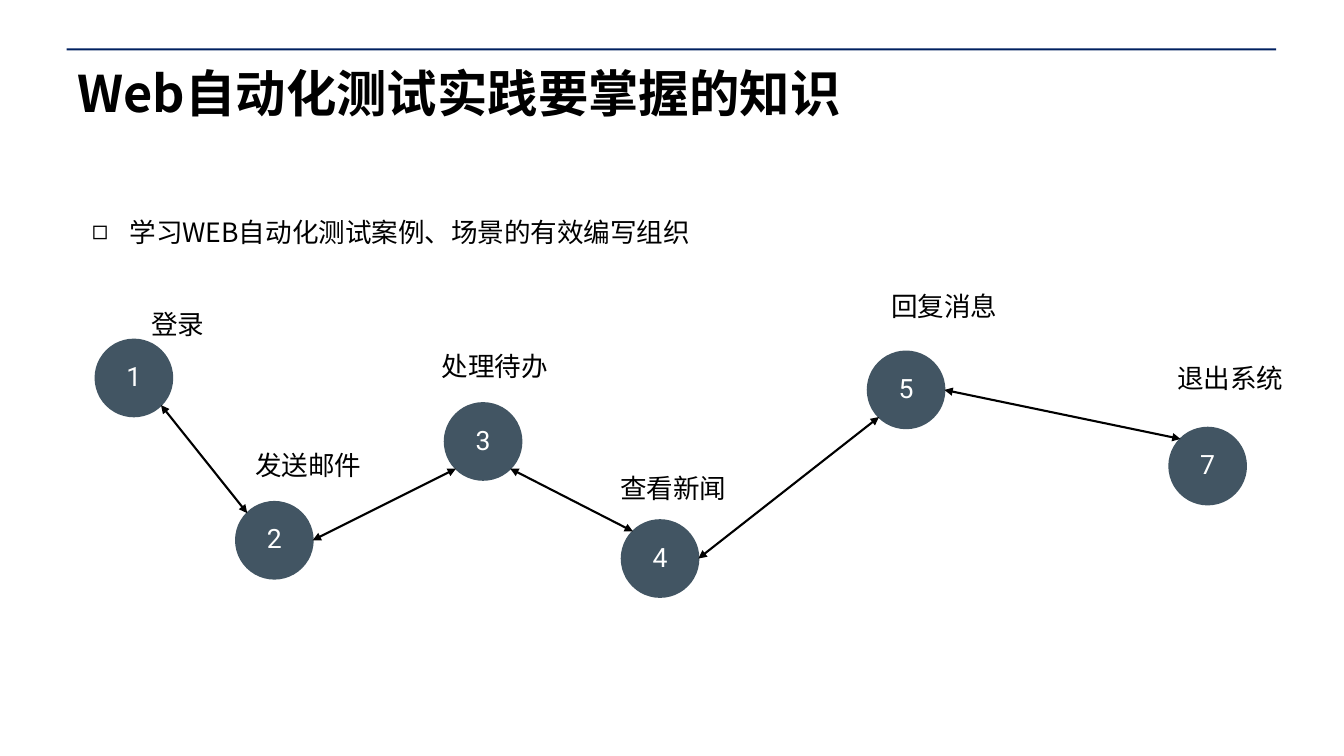
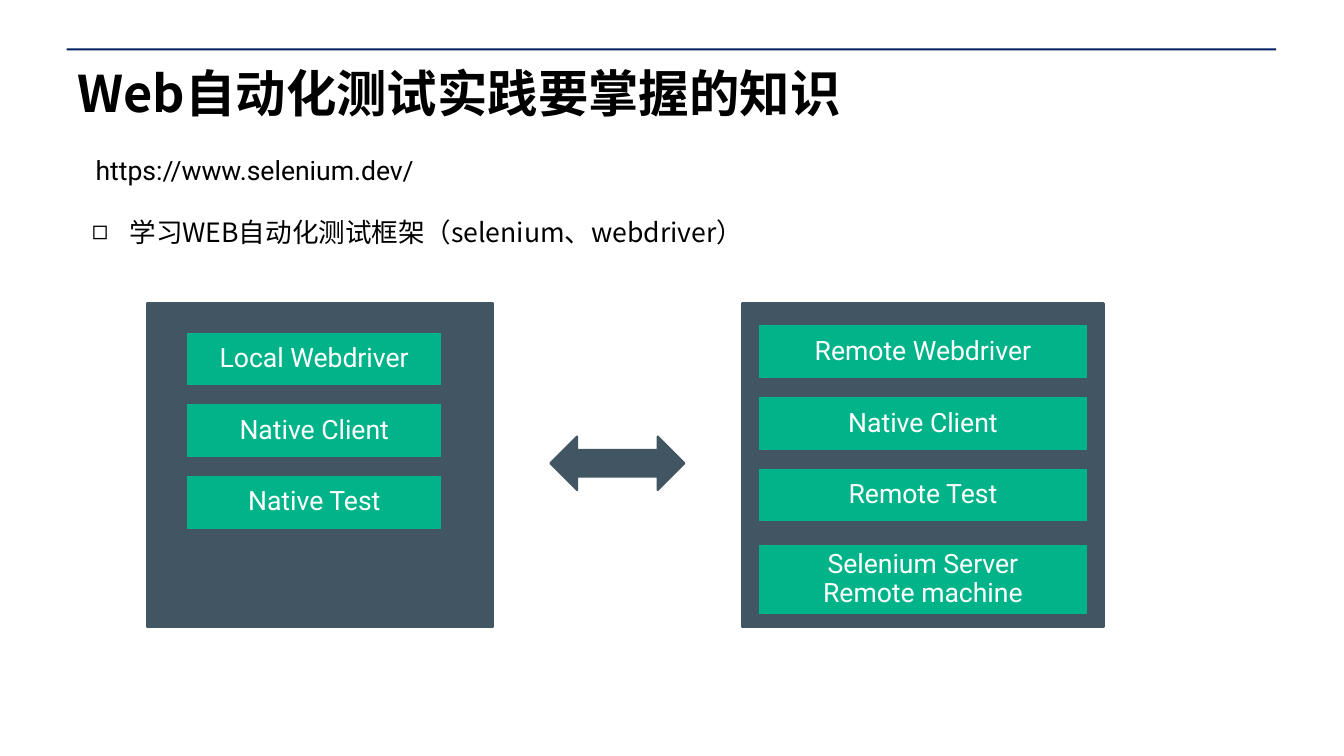
from dataclasses import dataclass
from enum import Enum
from typing import Any

from lxml.etree import SubElement
from pptx import Presentation
from pptx.dml.color import RGBColor
from pptx.enum.shapes import MSO_CONNECTOR, MSO_SHAPE
from pptx.enum.text import MSO_ANCHOR, MSO_AUTO_SIZE, PP_ALIGN
from pptx.oxml.ns import qn
from pptx.util import Cm, Pt


@dataclass(frozen=True)
class Theme:
    navy: str = "002060"
    slate: str = "425563"
    green: str = "00B388"
    black: str = "000000"
    white: str = "FFFFFF"
    han: str = "Noto Sans CJK SC"
    latin: str = "Roboto"
    head: int = 36
    text: int = 19
    line: float = 1.5


THEME = Theme()


@dataclass(frozen=True)
class Box:
    left: float
    top: float
    width: float
    height: float

    def place(self) -> dict[str, Any]:
        return {
            "left": Cm(self.left),
            "top": Cm(self.top),
            "width": Cm(self.width),
            "height": Cm(self.height),
        }


@dataclass(frozen=True)
class Step:
    mark: str
    left: float
    top: float
    label: str
    tag: Box


@dataclass(frozen=True)
class Panel:
    frame: Box
    first: Box
    rows: tuple[str, ...]


class Site(Enum):
    TOP_LEFT = (1, 0.146, 0.146)
    LOW_LEFT = (3, 0.146, 0.854)
    LOW_RIGHT = (5, 0.854, 0.854)
    RIGHT = (6, 1.0, 0.5)


WIDTH, HEIGHT = 33.87, 19.05
RULE = Box(1.68, 1.22, 30.48, 0.05)
TITLE = Box(1.7, 1.45, 30.45, 2.36)
BODY = Box(2.06, 4.9, 29.36, 1.47)
LINK = Box(2.16, 3.76, 9, 1.07)
ARROW = Box(13.87, 11, 3.38, 1.35)
SERVER = Box(19.13, 13.74, 8.26, 1.73)
DISC = 1.93
PITCH = 1.81
HEADING = "Web自动化测试实践要掌握的知识"
CENTER = {"alignment": PP_ALIGN.CENTER, "line_spacing": 0.9}
PLAIN = {"alignment": PP_ALIGN.LEFT, "space_before": Pt(0)}
LIST = PLAIN | {"line_spacing": 1.5}
TOP = {
    "word_wrap": True,
    "auto_size": MSO_AUTO_SIZE.NONE,
    "vertical_anchor": MSO_ANCHOR.TOP,
}
MIDDLE = TOP | {"vertical_anchor": MSO_ANCHOR.MIDDLE}
FLUSH = TOP | {f"margin_{side}": 0 for side in ("left", "top", "right", "bottom")}

STEPS = (
    Step("1", 2.41, 8.56, "登录", Box(3.4, 7.85, 2.16, 0.64)),
    Step("2", 5.95, 12.65, "发送邮件", Box(6.22, 11.4, 3.1, 0.64)),
    Step("3", 11.21, 10.16, "处理待办", Box(10.92, 8.92, 3.1, 0.64)),
    Step("4", 15.67, 13.11, "查看新闻", Box(15.42, 11.99, 3.1, 0.64)),
    Step("5", 21.87, 8.86, "回复消息", Box(22.25, 7.39, 3.1, 0.64)),
    Step("7", 29.47, 10.78, "退出系统", Box(29.46, 9.22, 3.1, 0.64)),
)
LINKS = (
    (Site.LOW_RIGHT, Site.TOP_LEFT),
    (Site.RIGHT, Site.LOW_LEFT),
    (Site.LOW_RIGHT, Site.TOP_LEFT),
    (Site.RIGHT, Site.LOW_LEFT),
    (Site.RIGHT, Site.TOP_LEFT),
)
PANELS = (
    Panel(
        Box(3.71, 7.65, 8.71, 8.15),
        Box(4.72, 8.38, 6.4, 1.32),
        ("Local Webdriver", "Native Client", "Native Test"),
    ),
    Panel(
        Box(18.69, 7.65, 9.12, 8.15),
        Box(19.13, 8.2, 8.26, 1.32),
        ("Remote Webdriver", "Native Client", "Remote Test"),
    ),
)


def style(item: Any, look: dict[str, Any]) -> None:
    for name, value in look.items():
        setattr(item, name, value)


def write(shape: Any, text: str, frame: dict[str, Any], para: dict[str, Any],
          face: str = THEME.latin, tint: str = THEME.black,
          size: int = THEME.text, bold: bool = False) -> None:
    body = shape.text_frame
    body.text = text
    style(body, frame)
    for part in body.paragraphs:
        style(part, para)
        for run in part.runs:
            style(run.font, {"name": face, "size": Pt(size), "bold": bold})
            run.font.color.rgb = RGBColor.from_string(tint)
            SubElement(run.font._element, qn("a:ea"), typeface=face)


def bullet(part: Any) -> None:
    props = part._p.get_or_add_pPr()
    props.set("marL", str(Cm(0.95)))
    props.set("indent", str(Cm(-0.95)))
    tint = SubElement(props, qn("a:buClr"))
    SubElement(tint, qn("a:srgbClr"), val=THEME.black)
    SubElement(props, qn("a:buChar"), char="◻")


def draw(slide: Any, kind: Any, box: Box, fill: str, edge: bool = False) -> Any:
    shape = slide.shapes.add_shape(kind, **box.place())
    shape.shadow.inherit = False
    shape.fill.solid()
    shape.fill.fore_color.rgb = RGBColor.from_string(fill)
    if edge:
        shape.line.color.rgb = RGBColor.from_string(fill)
        shape.line.width = Pt(THEME.line)
    else:
        shape.line.fill.background()
    return shape


def note(slide: Any, box: Box, text: str, frame: dict[str, Any],
         para: dict[str, Any], face: str) -> None:
    write(slide.shapes.add_textbox(**box.place()), text, frame, para, face)


def bar(slide: Any, box: Box, text: str) -> None:
    shape = draw(slide, MSO_SHAPE.FLOWCHART_PROCESS, box, THEME.green)
    write(shape, text, MIDDLE, CENTER, tint=THEME.white)


def join(slide: Any, start: Any, stop: Any, sites: tuple[Site, Site]) -> None:
    ends = tuple(zip((start, stop), sites))
    points = [
        round(value)
        for disc, site in ends
        for value in (disc.left + disc.width * site.value[1],
                      disc.top + disc.height * site.value[2])
    ]
    line = slide.shapes.add_connector(MSO_CONNECTOR.STRAIGHT, *points)
    line.line.color.rgb = RGBColor.from_string(THEME.black)
    line.line.width = Pt(THEME.line)
    stroke = line.line._get_or_add_ln()
    glue = line._element.nvCxnSpPr.cNvCxnSpPr
    for tag, tip, (disc, site) in zip(("stCxn", "endCxn"), ("headEnd", "tailEnd"), ends):
        SubElement(stroke, qn(f"a:{tip}"), type="triangle")
        SubElement(glue, qn(f"a:{tag}"), id=str(disc.shape_id), idx=str(site.value[0]))
    SubElement(line._element.spPr, qn("a:effectLst"))


def setup(deck: Any) -> Any:
    style(deck, {"slide_width": Cm(WIDTH), "slide_height": Cm(HEIGHT)})
    layout = deck.slide_layouts[1]
    for holder, box in zip(layout.placeholders, (TITLE, BODY)):
        style(holder, box.place())
    return layout


def start(deck: Any, layout: Any, text: str) -> Any:
    slide = deck.slides.add_slide(layout)
    title, body = slide.placeholders
    write(title, HEADING, TOP, PLAIN, THEME.han, size=THEME.head, bold=True)
    write(body, text, TOP, LIST, THEME.han)
    bullet(body.text_frame.paragraphs[0])
    return slide


def flow(slide: Any) -> None:
    discs = []
    for step in STEPS:
        box = Box(step.left, step.top, DISC, DISC)
        disc = draw(slide, MSO_SHAPE.FLOWCHART_CONNECTOR, box, THEME.slate, True)
        write(disc, step.mark, MIDDLE, CENTER, tint=THEME.white)
        note(slide, step.tag, step.label, FLUSH, CENTER, THEME.han)
        discs.append(disc)
    for first, second, sites in zip(discs, discs[1:], LINKS):
        join(slide, first, second, sites)


def stack(slide: Any) -> None:
    note(slide, LINK, "https://www.selenium.dev/", TOP, PLAIN, THEME.latin)
    for panel in PANELS:
        draw(slide, MSO_SHAPE.RECTANGLE, panel.frame, THEME.slate, True)
        base = panel.first
        for row, text in enumerate(panel.rows):
            box = Box(base.left, base.top + row * PITCH, base.width, base.height)
            bar(slide, box, text)
    bar(slide, SERVER, "Selenium Server\nRemote machine")
    draw(slide, MSO_SHAPE.LEFT_RIGHT_ARROW, ARROW, THEME.slate, True)


def main() -> None:
    deck = Presentation()
    layout = setup(deck)
    plan = start(deck, layout, "学习WEB自动化测试案例、场景的有效编写组织")
    rule = draw(plan, MSO_SHAPE.RECTANGLE, RULE, THEME.navy)
    layout.shapes._spTree.append(rule._element)
    flow(plan)
    stack(start(deck, layout, "学习WEB自动化测试框架（selenium、webdriver）"))
    deck.save("out.pptx")


if __name__ == "__main__":
    main()
